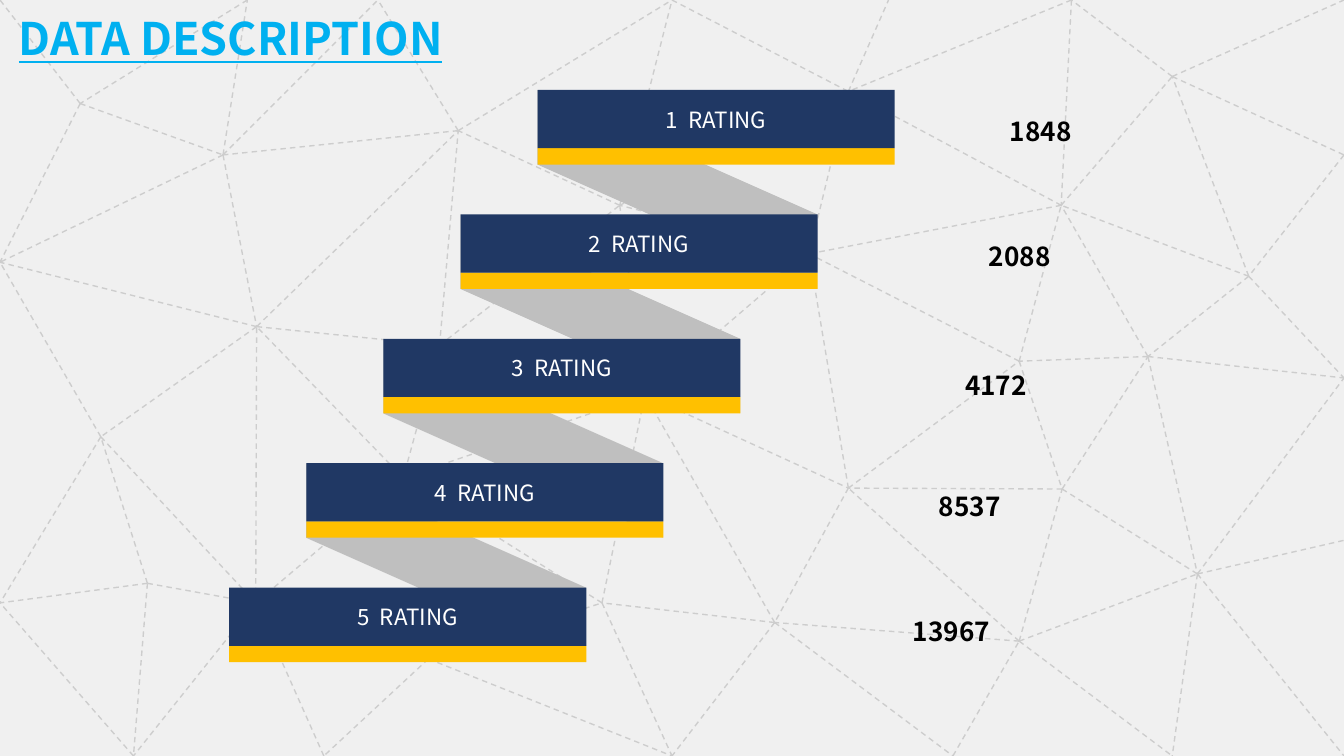
from lxml import etree
from pptx import Presentation, util as u
from pptx.dml.color import RGBColor
from pptx.enum import dml, shapes, text
from pptx.oxml import ns

# Background mesh: named points, then the pairs that are joined
MESH_POINTS = {
    "Q": (0, 0), "c": (132.5, 0), "d": (202.5, 0), "t": (360, 0),
    "y": (476, 0), "H": (574, 0), "I": (720, 0), "P": (43, 55.5),
    "a": (119.5, 83), "e": (245.5, 70), "u": (454.5, 49), "G": (628, 41),
    "J": (720, 83), "b": (0, 140.5), "s": (332, 110), "v": (433.5, 136),
    "z": (568.5, 110), "K": (669, 148), "f": (137.5, 175), "g": (235.5, 185),
    "r": (345.5, 211.5), "A": (546, 193.5), "F": (615, 191), "L": (720, 202.5),
    "j": (54, 234), "h": (216, 256), "w": (454.5, 261.5), "B": (569, 262),
    "k": (0, 323), "l": (79, 312.5), "i": (137, 323), "p": (322.5, 323),
    "x": (415, 333.5), "M": (641.5, 307.5), "O": (720, 289.5), "n": (229.5, 353),
    "C": (546, 343.5), "m": (71.5, 405), "o": (173.5, 405), "q": (360, 405),
    "D": (510.5, 405), "E": (628, 405), "N": (720, 405),
}
MESH_PAIRS = (
    "ac ab ad ea af fe fb fg gh hf hi if fj ji jb jk lk im mk in nh no oi "
    "np nq pq ph pr rh gr ge gs sr se ed et st tu us uv vs vr rw wv wx xp "
    "xq uy zu zv wA Az AB Bw Cw xD DC Cx CB CE Fz zG GH GI GJ JK KG Kz KF "
    "KL BM ML MN ME Av BF FL FA FM Hz xr lj li lm CM MO cP Pa Pb PQ Hu"
).split()

# Each rating: label, count, left and top of the count
RATINGS = [
    ("1  RATING", "1848", 541, 49.7),
    ("2  RATING", "2088", 529.8, 116.6),
    ("3  RATING", "4172", 517, 185.8),
    ("4  RATING", "8537", 503, 250.6),
    ("5  RATING", "13967", 489, 317.5),
]
FIRST_LEFT, FIRST_TOP = 288, 48.2
STEP_LEFT, STEP_TOP = -41.3, 66.65
BANNER_WIDTH, BANNER_HEIGHT, STRIPE_HEIGHT = 191.3, 31.2, 8.8


def color(value):
    return RGBColor.from_string(value)


class Deck:
    font = "Noto Sans CJK SC"
    navy, gold, gray = "203864", "FFC000", "BFBFBF"
    mesh, background, title_blue = "CDCDCD", "F0F0F0", "00B0F0"

    def __init__(self, slide):
        self.slide = slide
        fill = slide.background.fill
        fill.solid()
        fill.fore_color.rgb = color(self.background)

    def set_text(self, frame, content, size, ink, bold=False, underline=False,
                 align=text.PP_ALIGN.LEFT):
        frame.text = content
        paragraph = frame.paragraphs[0]
        paragraph.alignment = align
        for run in paragraph.runs:
            run.font.name = self.font
            run.font.size = u.Pt(size)
            run.font.bold = bold
            run.font.underline = underline
            run.font.color.rgb = color(ink)

    def title(self, content, left, top, width, height):
        shape = self.slide.shapes.title
        shape.left, shape.top = u.Pt(left), u.Pt(top)
        shape.width, shape.height = u.Pt(width), u.Pt(height)
        frame = shape.text_frame
        frame.word_wrap = False
        frame.auto_size = text.MSO_AUTO_SIZE.NONE
        frame.vertical_anchor = text.MSO_ANCHOR.TOP
        self.set_text(frame, content, 24, self.title_blue, bold=True, underline=True)
        # Bring the title in front of the mesh
        self.slide.shapes._spTree.append(shape._element)

    def dashed_line(self, start, end):
        line = self.slide.shapes.add_connector(
            shapes.MSO_CONNECTOR.STRAIGHT, *map(u.Pt, start + end))
        line.line.color.rgb = color(self.mesh)
        line.line.width = u.Pt(0.75)
        line.line.dash_style = dml.MSO_LINE.DASH
        etree.SubElement(line._element.spPr, ns.qn("a:effectLst"))

    def block(self, kind, left, top, width, height, fill):
        shape = self.slide.shapes.add_shape(
            kind, *map(u.Pt, (left, top, width, height)))
        shape.shadow.inherit = False
        shape.fill.solid()
        shape.fill.fore_color.rgb = color(fill)
        shape.line.fill.background()
        return shape

    def fold(self, left, top):
        shape = self.block(shapes.MSO_SHAPE.PARALLELOGRAM,
                           left + 21.6, top - 21.6, 106.5, 149.8, self.gray)
        shape.adjustments[0] = 0.625
        shape.rotation = 90

    def banner(self, label, left, top):
        rectangle = shapes.MSO_SHAPE.RECTANGLE
        self.block(rectangle, left, top + BANNER_HEIGHT, BANNER_WIDTH,
                   STRIPE_HEIGHT, self.gold)
        shape = self.block(rectangle, left, top, BANNER_WIDTH, BANNER_HEIGHT, self.navy)
        shape.text_frame.vertical_anchor = text.MSO_ANCHOR.MIDDLE
        self.set_text(shape.text_frame, label, 12, "FFFFFF", align=text.PP_ALIGN.CENTER)

    def count(self, content, left, top):
        frame = self.slide.shapes.add_textbox(
            *map(u.Pt, (left, top, 70, 32.4))).text_frame
        frame.word_wrap = True
        frame.margin_left = frame.margin_right = 0
        self.set_text(frame, content, 14, "000000", bold=True)
        frame.paragraphs[0].line_spacing = 1.5


def main():
    presentation = Presentation()
    presentation.slide_width, presentation.slide_height = u.Pt(720), u.Pt(405)
    deck = Deck(presentation.slides.add_slide(presentation.slide_layouts[5]))

    # Mesh
    for start, end in MESH_PAIRS:
        deck.dashed_line(MESH_POINTS[start], MESH_POINTS[end])

    deck.title("DATA DESCRIPTION", 2.9, 2.2, 250, 36)

    # Folds lie behind the banners
    corners = [(FIRST_LEFT + i * STEP_LEFT, FIRST_TOP + i * STEP_TOP)
               for i in range(len(RATINGS))]
    for corner in corners[:-1]:
        deck.fold(*corner)

    # Banners and counts
    for (label, count, left, top), corner in zip(RATINGS, corners):
        deck.banner(label, *corner)
        deck.count(count, left, top)

    presentation.save("out.pptx")


if __name__ == "__main__":
    main()
